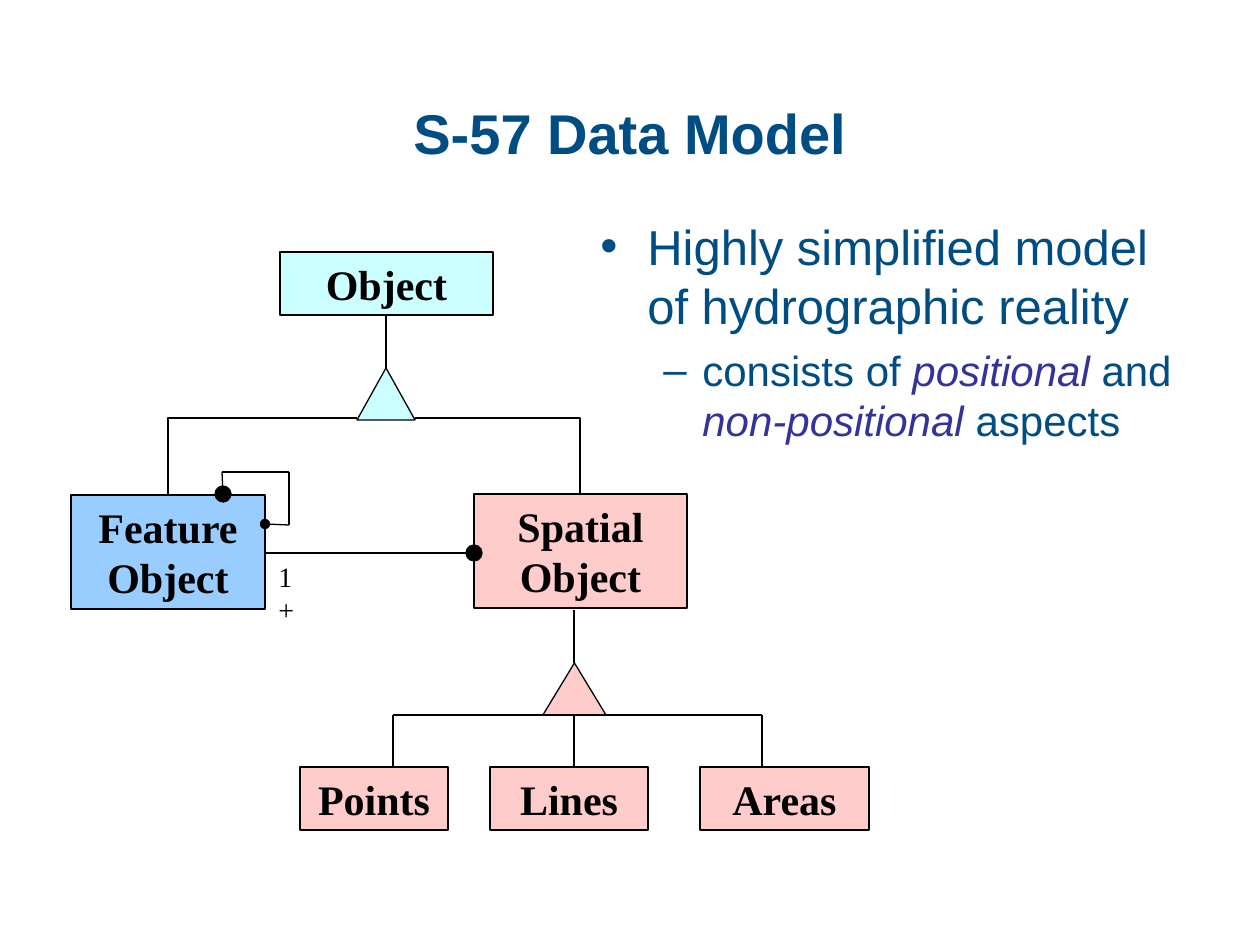
import pptx
import pptx.dml.color
import pptx.enum.shapes
import pptx.enum.text
import pptx.oxml
import pptx.oxml.ns
import pptx.util
import lxml.etree

RGBColor = pptx.dml.color.RGBColor
Shapes = pptx.enum.shapes.MSO_SHAPE
Connectors = pptx.enum.shapes.MSO_CONNECTOR
Align = pptx.enum.text.PP_ALIGN
Anchor = pptx.enum.text.MSO_ANCHOR

NAVY = RGBColor(0x00, 0x4D, 0x83)
INDIGO = RGBColor(0x33, 0x33, 0x99)
BLACK = RGBColor(0x00, 0x00, 0x00)
PINK = RGBColor(0xFF, 0xCC, 0xCC)
BLUE = RGBColor(0x99, 0xCC, 0xFF)
CYAN = RGBColor(0xCC, 0xFF, 0xFF)
SANS = "Arial"
SERIF = "Times New Roman"


def px(length):
    """Turn pixels at 126 to the inch into EMU."""
    return pptx.util.Emu(round(length * 914400 / 126))


def add_run(paragraph, text, size, font, color, bold=False, italic=False):
    """Add one formatted run."""
    run = paragraph.add_run()
    run.text = text
    run.font.size = pptx.util.Pt(size)
    run.font.name = font
    run.font.color.rgb = color
    run.font.bold = bold
    run.font.italic = italic


def add_child(parent, tag, **attributes):
    """Append a drawing element with the given attributes."""
    child = lxml.etree.SubElement(parent, pptx.oxml.ns.qn(tag))
    for name, value in attributes.items():
        child.set(name, value)
    return child


def add_node(slide, kind, left, top, width, height, fill, text=""):
    """Add a filled, outlined shape with an optional bold label."""
    shape = slide.shapes.add_shape(kind, px(left), px(top), px(width), px(height))
    shape.shadow.inherit = False
    shape.fill.solid()
    shape.fill.fore_color.rgb = fill
    shape.line.color.rgb = BLACK
    shape.line.width = pptx.util.Pt(0.75)
    if text:
        frame = shape.text_frame
        frame.word_wrap = True
        frame.vertical_anchor = Anchor.TOP
        paragraph = frame.paragraphs[0]
        paragraph.alignment = Align.CENTER
        add_run(paragraph, text, 24, SERIF, BLACK, bold=True)


def add_line(slide, x1, y1, x2, y2, kind=Connectors.STRAIGHT, end=None, size="med"):
    """Add a thin black connector, with an oval at headEnd or tailEnd if named."""
    connector = slide.shapes.add_connector(kind, px(x1), px(y1), px(x2), px(y2))
    connector.line.color.rgb = BLACK
    connector.line.width = pptx.util.Pt(0.75)
    if end:
        add_child(connector.line._get_or_add_ln(), f"a:{end}", type="oval", w=size, len=size)
    properties = connector._element.spPr
    add_child(properties, "a:effectLst")
    if kind == Connectors.ELBOW:
        adjustments = properties.find(".//" + pptx.oxml.ns.qn("a:avLst"))
        add_child(adjustments, "a:gd", name="adj1", fmla="val 100000")


def add_title(slide, left, top, width, height):
    """Place the title."""
    title = slide.shapes.title
    title.left, title.top, title.width, title.height = map(px, (left, top, width, height))
    title.text_frame.vertical_anchor = Anchor.MIDDLE
    paragraph = title.text_frame.paragraphs[0]
    paragraph.alignment = Align.CENTER
    add_run(paragraph, "S-57 Data Model", 32, SANS, NAVY, bold=True)


def add_bullet(paragraph, character, margin, hanging):
    """Give a paragraph a hanging bullet."""
    properties = paragraph._p.get_or_add_pPr()
    properties.set("marL", str(px(margin)))
    properties.set("indent", str(-px(hanging)))
    add_child(add_child(properties, "a:buClr"), "a:srgbClr", val=str(NAVY))
    add_child(properties, "a:buFont", typeface=SANS)
    add_child(properties, "a:buChar", char=character)


def add_summary(slide, left, top, width, height):
    """Place the bulleted summary."""
    box = slide.shapes.add_textbox(px(left), px(top), px(width), px(height))
    frame = box.text_frame
    frame.word_wrap = True
    main = frame.paragraphs[0]
    add_bullet(main, "•", 47, 47)
    add_run(main, "Highly simplified model of hydrographic reality", 28, SANS, NAVY)
    detail = frame.add_paragraph()
    detail.level = 1
    add_bullet(detail, "–", 102, 39)
    detail.space_before = pptx.util.Pt(6)
    parts = ["consists of ", "positional", " and ", "non-positional", " aspects"]
    for index, text in enumerate(parts):
        emphasis = index % 2 == 1
        add_run(detail, text, 24, SANS, INDIGO if emphasis else NAVY, italic=emphasis)


def add_geometry_types(slide, left, top):
    """Draw the spatial object's three subtypes."""
    center, base, row = left + 274, top + 105, top + 157
    add_node(slide, Shapes.ISOSCELES_TRIANGLE, center - 31, top + 53, 63, 52, PINK)
    add_line(slide, center, top + 53, center, top)
    add_line(slide, left + 93, base, left + 462, base)
    for x in (93, 462, 274):
        add_line(slide, left + x, base, left + x, row)
    for text, x, width in (("Points", 0, 148), ("Lines", 190, 158), ("Areas", 400, 169)):
        add_node(slide, Shapes.RECTANGLE, left + x, row, width, 63, PINK, text)


def add_relations(slide, left, top):
    """Draw the feature and spatial objects and how they relate."""
    add_node(slide, Shapes.RECTANGLE, left + 403, top + 22, 213, 114, PINK, "Spatial Object")
    add_line(slide, left + 118, top + 81, left + 403, top + 81, end="tailEnd", size="lg")
    add_node(slide, Shapes.RECTANGLE, left, top + 23, 194, 114, BLUE, "Feature Object")
    label = slide.shapes.add_textbox(px(left + 195), px(top + 81), px(54), px(47))
    label.text_frame.word_wrap = False
    add_run(label.text_frame.paragraphs[0], "1+", 16, SERIF, BLACK)
    right, loop = left + 218, left + 151
    add_line(slide, left + 194, top + 52, right, top + 53, end="headEnd")
    add_line(slide, right, top + 53, right, top)
    add_line(slide, right, top, loop, top)
    add_line(slide, loop, top, loop + 1, top + 22, end="tailEnd", size="lg")


def add_root(slide, left, top):
    """Draw the root object and its two branches."""
    center, base = left + 218, top + 166
    add_node(slide, Shapes.ISOSCELES_TRIANGLE, center - 29, top + 116, 58, 52, CYAN)
    add_line(slide, center, top + 116, center, top + 63)
    add_node(slide, Shapes.RECTANGLE, left + 112, top, 213, 63, CYAN, "Object")
    add_line(slide, center - 29, base, left, top + 243, Connectors.ELBOW)
    add_line(slide, center + 29, base, left + 412, top + 242, Connectors.ELBOW)


def main():
    """Build and save the slide."""
    presentation = pptx.Presentation()
    presentation.slide_width = px(1260)
    presentation.slide_height = px(945)
    slide = presentation.slides.add_slide(presentation.slide_layouts[5])
    add_title(slide, 63, 53, 1134, 158)
    add_summary(slide, 588, 210, 625, 294)
    add_geometry_types(slide, 300, 610)
    add_relations(slide, 71, 472)
    add_root(slide, 168, 252)
    presentation.save("out.pptx")


if __name__ == "__main__":
    main()
